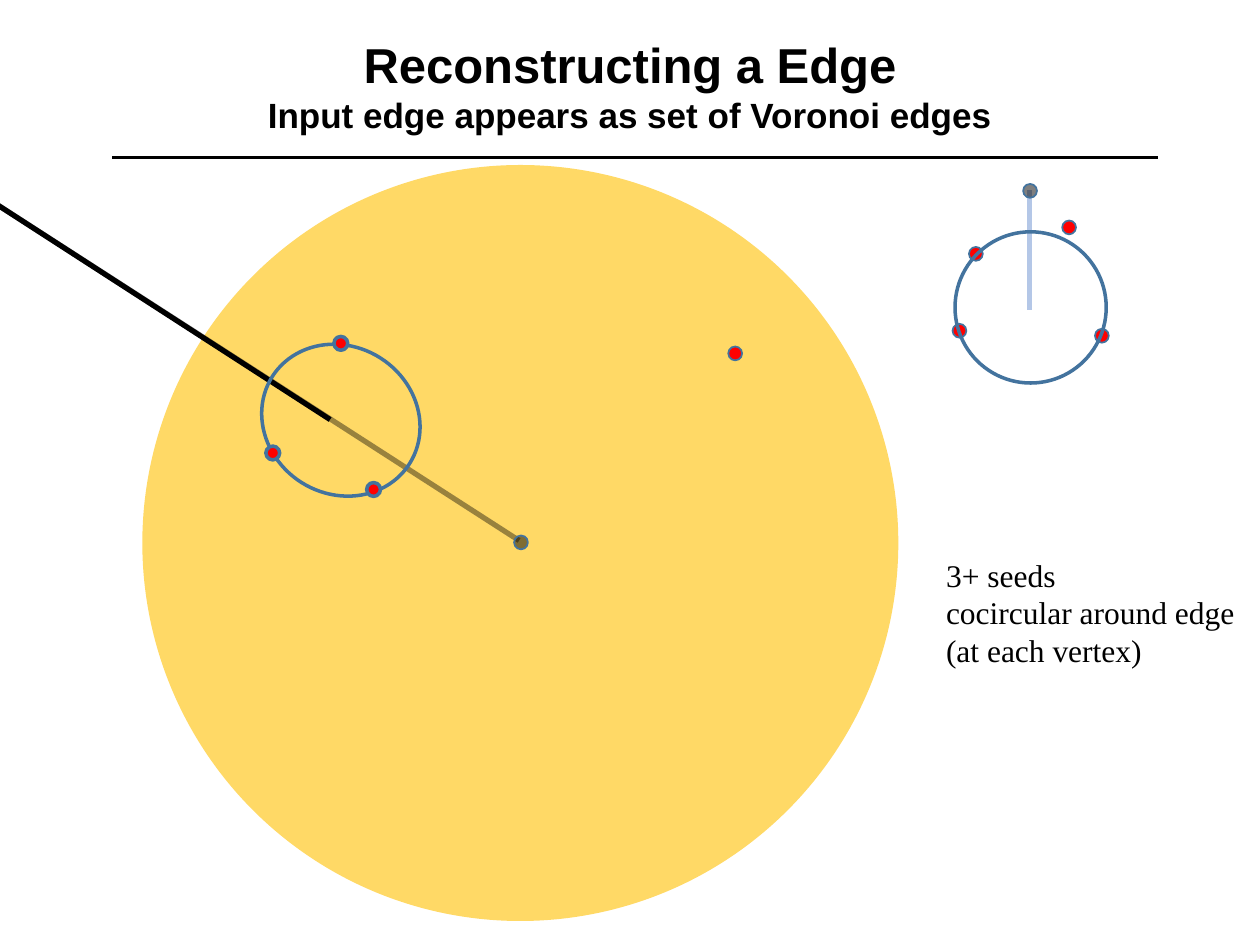
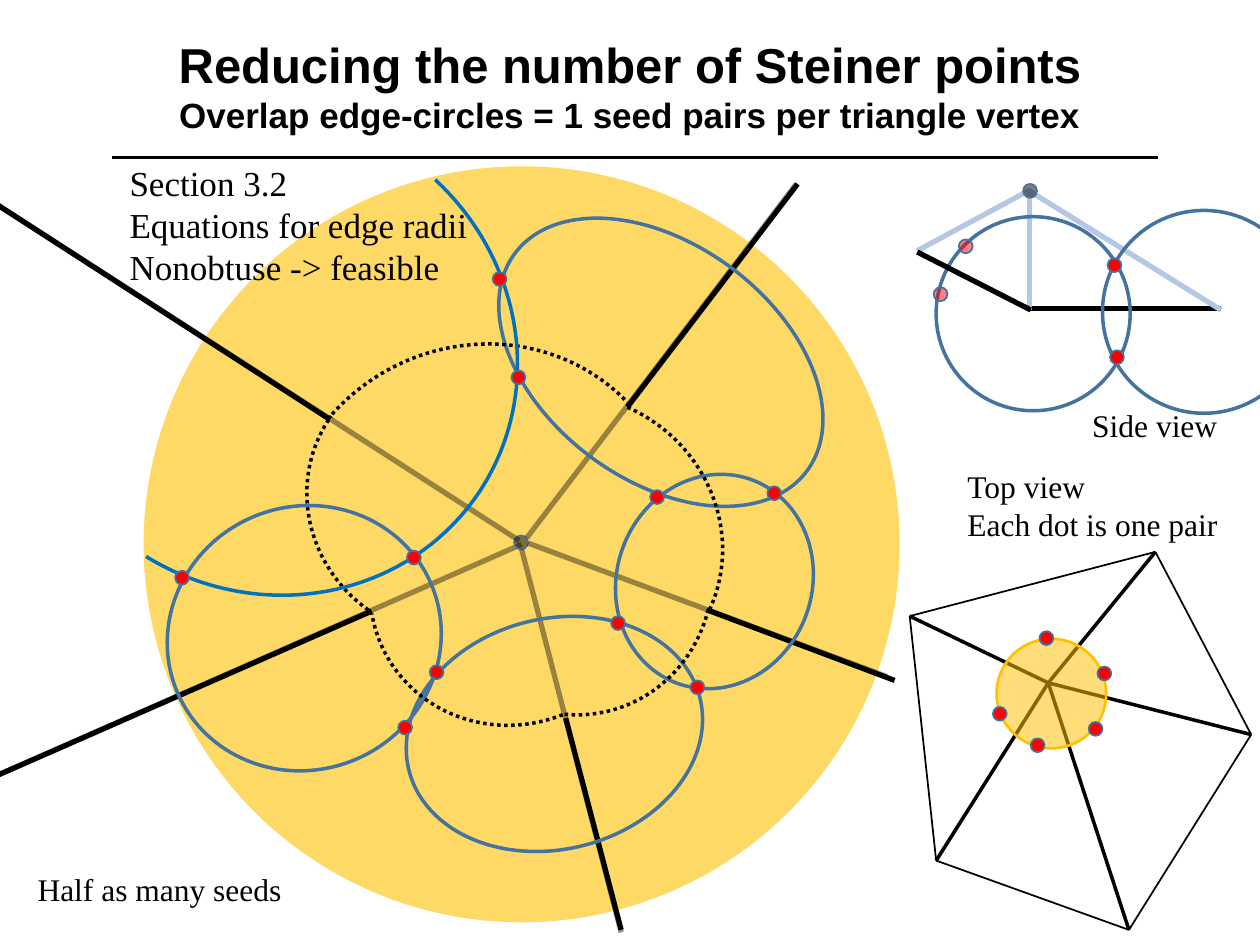
from dataclasses import dataclass
from typing import Optional

from lxml.etree import SubElement
from pptx import Presentation
from pptx.dml.color import RGBColor
from pptx.enum.dml import MSO_LINE
from pptx.enum.shapes import MSO_CONNECTOR, MSO_SHAPE
from pptx.enum.text import MSO_ANCHOR, MSO_AUTO_SIZE, PP_ALIGN
from pptx.oxml.ns import qn
from pptx.util import Inches, Pt


@dataclass(frozen=True)
class Style:
    fill: Optional[str] = None
    fill_alpha: int = 100
    line: Optional[str] = None
    width: float = 1
    line_alpha: int = 100
    dotted: bool = False


class Theme:
    black, white, red = "000000", "FFFFFF", "FF0000"
    outline, pale, gold, amber, blue = "43739E", "B4C7E7", "FFD966", "FFC000", "0070C0"
    title_font, body_font = "Arial", "Times New Roman"
    title_size, subtitle_size, note_size, label_size = 28, 20, 20, 18
    dot = 0.11
    styles = {
        "disc": Style(fill=gold),
        "small disc": Style(fill=amber, fill_alpha=53, line=amber, width=1.5),
        "rule": Style(line=black, width=2),
        "edge": Style(line=black, width=3),
        "hidden edge": Style(line=black, width=3, line_alpha=40),
        "pale edge": Style(line=pale, width=3),
        "spoke": Style(line=black, width=2),
        "rim": Style(line=black, width=1),
        "circle": Style(line=outline, width=2),
        "thin circle": Style(line=outline, width=1),
        "dotted arc": Style(line=black, width=2, dotted=True),
        "blue arc": Style(line=blue, width=2),
        "seed": Style(fill=red, line=outline),
        "bold seed": Style(fill=red, line=outline, width=2),
        "faint seed": Style(fill=red, fill_alpha=50, line=outline),
        "vertex": Style(fill=black, fill_alpha=50, line=outline),
    }


# Places used on both slides
TITLE_BOX = (0.75, 0.12, 8.5, 1.11)
TITLE_RULE = (0.89, 1.25, 9.19, 1.25)
CENTRE_DOT, SIDE_DOT = (4.08, 4.25), (8.12, 1.46)
LEFT_EDGE = (2.62, 3.33, -0.51, 1.31)
LEFT_HIDDEN = (4.12, 4.29, -0.51, 1.31)
SIDE_EDGE = (8.17, 1.51, 8.17, 2.46)

# Top view: hub and the corners of the pentagon around it
HUB = (8.32, 5.42)
CORNERS = [(7.22, 4.89), (9.17, 4.38), (9.93, 5.83), (8.96, 7.38), (7.43, 6.83)]
SPOKES = [HUB + c for c in CORNERS]
RIM = [a + b for a, b in zip(CORNERS, CORNERS[1:] + CORNERS[:1])]

# Layers run from back to front: (kind, style or text size, items)
# line: x1, y1, x2, y2   oval: x, y, w, h, rotation   dot: x, y
# arc: x, y, w, h, rotation, start, end   text: x, y, w, h, lines
SLIDES = [
    ("Reconstructing a Edge", "Input edge appears as set of Voronoi edges", [
        ("oval", "disc", [(1.13, 1.31, 6, 6, 0)]),
        ("line", "edge", [LEFT_EDGE]),
        ("line", "hidden edge", [LEFT_HIDDEN]),
        ("line", "pale edge", [SIDE_EDGE]),
        ("dot", "vertex", [CENTRE_DOT]),
        ("dot", "seed", [(8.69, 2.61), (7.56, 2.57), (7.69, 1.96)]),
        ("dot", "vertex", [SIDE_DOT]),
        ("oval", "circle", [(7.58, 1.84, 1.2, 1.2, 0), (2.06, 2.75, 1.29, 1.17, 32.4)]),
        ("dot", "bold seed", [(2.91, 3.83), (2.11, 3.54), (2.65, 2.67)]),
        ("text", Theme.label_size, [
            (7.41, 4.36, 2.52, 1.01,
             ["3+ seeds", "cocircular around edge", "(at each vertex)"])]),
        ("dot", "seed", [(5.78, 2.75), (8.43, 1.75)]),
    ]),
    ("Reducing the number of Steiner points",
     "Overlap edge-circles = 1 seed pairs per triangle vertex", [
        # Left edges and side view
        ("oval", "disc", [(1.14, 1.32, 6, 6, 0)]),
        ("line", "edge", [LEFT_EDGE]),
        ("line", "hidden edge", [(4.14, 4.32, -0.4, 6.32)]),
        ("line", "edge", [(2.95, 4.85, -0.4, 6.32)]),
        ("arc", "dotted arc", [(2.42, 2.87, 2.26, 2.17, 215.3, 162, 0)]),
        ("line", "edge", [(9.69, 2.45, 8.17, 2.45)]),
        ("line", "pale edge", [SIDE_EDGE, (8.16, 1.51, 9.69, 2.46)]),
        ("oval", "circle", [(7.43, 1.72, 1.54, 1.54, 0)]),
        ("dot", "faint seed", [(7.41, 2.28), (7.61, 1.9)]),
        ("line", "pale edge", [(8.17, 1.51, 7.28, 1.99)]),
        ("line", "edge", [(8.18, 2.46, 7.28, 2)]),
        ("dot", "vertex", [CENTRE_DOT]),
        ("oval", "circle", [(1.32, 4.02, 2.19, 2.09, 336.8)]),
        ("dot", "vertex", [SIDE_DOT]),
        ("line", "hidden edge", [LEFT_HIDDEN]),
        # Top view
        ("line", "spoke", SPOKES),
        ("line", "rim", RIM),
        ("text", Theme.label_size, [
            (8.57, 3.17, 1.2, 0.4, ["Side view"]),
            (7.58, 3.66, 2.21, 0.71, ["Top view", "Each dot is one pair"]),
            (0.2, 6.86, 2.16, 0.4, ["Half as many seeds"])]),
        ("oval", "small disc", [(7.91, 5.07, 0.87, 0.87, 0)]),
        ("dot", "seed", [(7.88, 5.61), (8.18, 5.86), (8.64, 5.73),
                         (8.71, 5.29), (8.25, 5.01)]),
        # Right edges with their circles
        ("line", "hidden edge", [(4.18, 4.27, 6.32, 1.46), (4.19, 4.31, 7.04, 5.37),
                                 (4.14, 4.36, 4.93, 7.4)]),
        ("line", "edge", [(4.98, 3.23, 6.33, 1.46), (5.61, 4.84, 7.1, 5.4),
                          (4.49, 5.7, 4.93, 7.38)]),
        ("oval", "circle", [(3.8, 1.94, 2.89, 1.87, 36.7), (4.81, 3.84, 1.72, 1.55, 109.8),
                            (3.21, 4.91, 2.38, 1.83, 166.1)]),
        ("arc", "dotted arc", [(2.93, 3.58, 2.26, 2.17, 158.1, 162, 6.82),
                               (3.44, 3.46, 2.26, 2.17, 83.2, 175.45, 6.82),
                               (3.29, 3.14, 2.46, 2.35, 31.2, 157.1, 212.1),
                               (2.18, 2.76, 3.25, 3.11, 319.5, 157.1, 214.08)]),
        ("oval", "circle", [(8.75, 1.67, 1.61, 1.61, 0)]),
        ("arc", "blue arc", [(0.14, 0.9, 4, 3.79, 34.2, 167.79, 52.17)]),
        # Shared seeds
        ("dot", "seed", [(3.23, 4.37), (1.39, 4.53), (3.91, 2.16), (4.06, 2.94),
                         (5.16, 3.89), (6.09, 3.86), (4.85, 4.89), (5.48, 5.4),
                         (3.41, 5.28), (3.16, 5.72), (8.81, 2.78), (8.79, 2.05)]),
        ("text", Theme.note_size, [
            (0.93, 1.23, 2.9, 1.11,
             ["Section 3.2", "Equations for edge radii", "Nonobtuse -> feasible"])]),
    ]),
]


def set_alpha(parent, percent):
    if percent < 100:
        color = parent.find(".//" + qn("a:srgbClr"))
        SubElement(color, qn("a:alpha"), val=str(percent * 1000))


def style_line(s, style):
    if not style.line:
        s.line.fill.background()
        return
    s.line.color.rgb = RGBColor.from_string(style.line)
    s.line.width = Pt(style.width)
    if style.dotted:
        s.line.dash_style = MSO_LINE.ROUND_DOT
    set_alpha(s._element.spPr.find(qn("a:ln")), style.line_alpha)


def add_line(slide, style, x1, y1, x2, y2):
    s = slide.shapes.add_connector(
        MSO_CONNECTOR.STRAIGHT, *map(Inches, (x1, y1, x2, y2)))
    style_line(s, Theme.styles[style])
    SubElement(s._element.spPr, qn("a:effectLst"))


def add_preset(slide, style, preset, x, y, w, h, rotation):
    style = Theme.styles[style]
    s = slide.shapes.add_shape(preset, *map(Inches, (x, y, w, h)))
    s.rotation = rotation
    s.shadow.inherit = False
    if style.fill:
        s.fill.solid()
        s.fill.fore_color.rgb = RGBColor.from_string(style.fill)
        set_alpha(s._element.spPr.find(qn("a:solidFill")), style.fill_alpha)
    else:
        s.fill.background()
    style_line(s, style)
    return s


def add_oval(slide, style, *box):
    add_preset(slide, style, MSO_SHAPE.OVAL, *box)


def add_dot(slide, style, x, y):
    add_oval(slide, style, x, y, Theme.dot, Theme.dot, 0)


def add_arc(slide, style, x, y, w, h, rotation, start, end):
    s = add_preset(slide, style, MSO_SHAPE.ARC, x, y, w, h, rotation)
    s.adjustments[0], s.adjustments[1] = start, end


def set_font(font, name, size, bold=False):
    font.name, font.size, font.bold = name, Pt(size), bold
    font.color.rgb = RGBColor.from_string(Theme.black)


def add_text(slide, size, x, y, w, h, lines):
    tf = slide.shapes.add_textbox(*map(Inches, (x, y, w, h))).text_frame
    tf.word_wrap = False
    tf.auto_size = MSO_AUTO_SIZE.SHAPE_TO_FIT_TEXT
    tf.text = "\n".join(lines)
    for p in tf.paragraphs:
        set_font(p.font, Theme.body_font, size)


def add_title(slide, title, subtitle):
    add_line(slide, "rule", *TITLE_RULE)
    tf = slide.shapes.add_textbox(*map(Inches, TITLE_BOX)).text_frame
    tf.word_wrap = True
    tf.vertical_anchor = MSO_ANCHOR.MIDDLE
    p = tf.paragraphs[0]
    p.alignment = PP_ALIGN.CENTER
    r = p.add_run()
    r.text = title
    set_font(r.font, Theme.title_font, Theme.title_size, True)
    p.add_line_break()
    r = p.add_run()
    r.text = subtitle
    set_font(r.font, Theme.title_font, Theme.subtitle_size, True)


DRAW = {"line": add_line, "oval": add_oval, "dot": add_dot, "arc": add_arc, "text": add_text}


def main():
    prs = Presentation()
    prs.slide_width, prs.slide_height = Inches(10), Inches(7.5)
    for title, subtitle, layers in SLIDES:
        slide = prs.slides.add_slide(prs.slide_layouts[6])
        slide.background.fill.solid()
        slide.background.fill.fore_color.rgb = RGBColor.from_string(Theme.white)
        add_title(slide, title, subtitle)
        for kind, style, items in layers:
            for item in items:
                DRAW[kind](slide, style, *item)
    prs.save("out.pptx")


if __name__ == "__main__":
    main()
